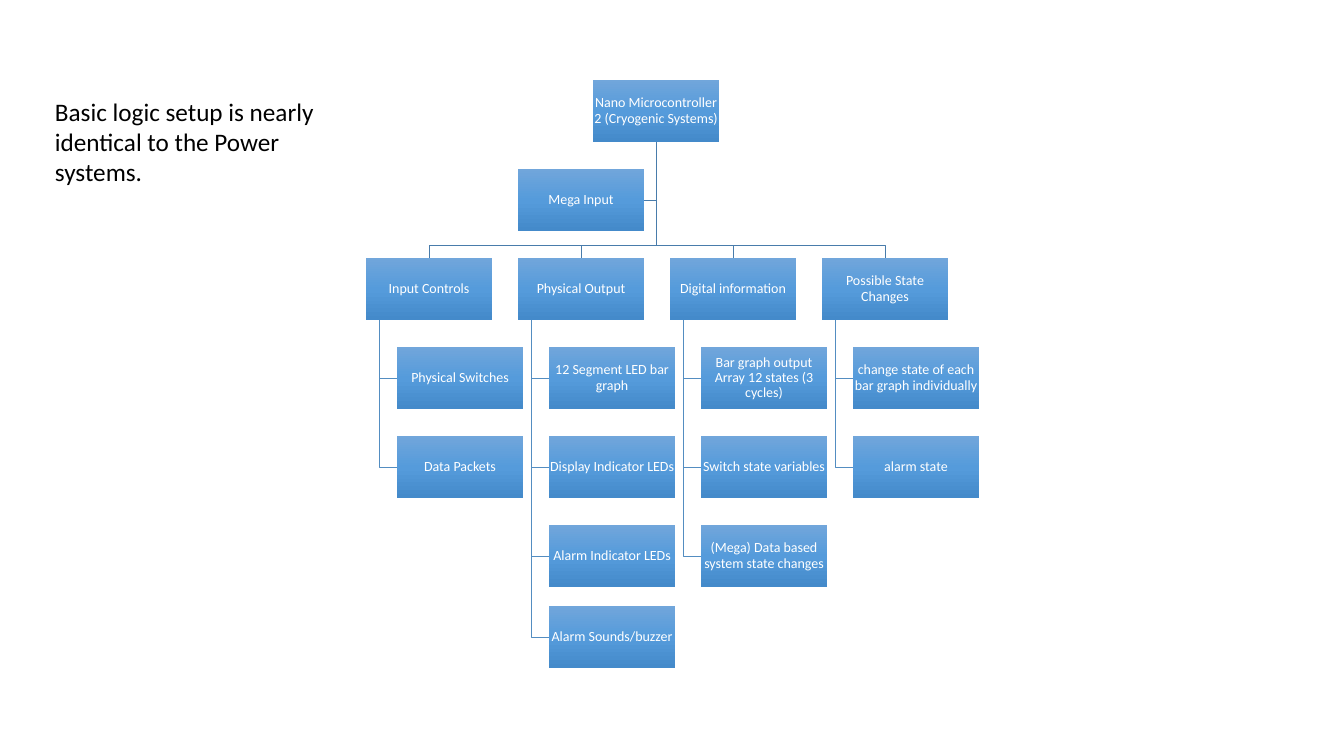
import copy
import pptx
import pptx.util
import pptx.dml.color
import pptx.enum.shapes
import pptx.enum.text
import pptx.oxml.ns

# Content
NOTE = "Basic logic setup is nearly identical to the Power systems."
ROOT = "Nano Microcontroller 2 (Cryogenic Systems)"
AIDE = "Mega Input"
GROUPS = [
    ("Input Controls", ["Physical Switches", "Data Packets"]),
    ("Physical Output", ["12 Segment LED bar graph", "Display Indicator LEDs",
                         "Alarm Indicator LEDs", "Alarm Sounds/buzzer"]),
    ("Digital information", ["Bar graph output Array 12 states (3 cycles)",
                             "Switch state variables",
                             "(Mega) Data based system state changes"]),
    ("Possible State Changes", ["change state of each bar graph individually",
                                "alarm state"]),
]
COLORS = {"top": "71A6DB", "mid": "559BDB", "low": "448ACA",
          "bus": "497CAB", "twig": "538DC1", "box": "FFFFFF", "note": "000000"}
FONT = "Calibri"

# Layout in px
EMU = 914400 / 100.8
BOX_W, BOX_H = 126, 62
LEFT, PITCH = 366, 152
ROOT_X, ROOT_Y = 593, 80
AIDE_Y, BUS_Y, HEAD_Y = 169, 245, 258
ROWS = [347, 436, 525, 606]
INDENT, TRUNK = 31, 13
MID_X = ROOT_X + BOX_W // 2


def px(n):
    return pptx.util.Emu(round(n * EMU))


def rgb(name):
    return pptx.dml.color.RGBColor.from_string(COLORS[name])


def style(frame, size, color):
    font = frame.paragraphs[0].runs[0].font
    font.name, font.size = FONT, pptx.util.Pt(size)
    font.color.rgb = rgb(color)


def add_line(points, color):
    path = slide.shapes.build_freeform(*points[0], scale=EMU)
    path.add_line_segments(points[1:], close=False)
    line = path.convert_to_shape()
    line.shadow.inherit = False
    line.fill.background()
    line.line.color.rgb = rgb(color)
    line.line.width = pptx.util.Pt(0.5)


def add_box(x, y, text):
    box = slide.shapes.add_shape(pptx.enum.shapes.MSO_SHAPE.RECTANGLE,
                                 px(x), px(y), px(BOX_W), px(BOX_H))
    box.shadow.inherit = False
    box.line.fill.background()
    # Three-stop gradient, running downward
    box.fill.gradient()
    box.fill.gradient_angle = 270
    stops = box._element.spPr.find(".//" + pptx.oxml.ns.qn("a:gsLst"))
    stops.insert(1, copy.deepcopy(stops[0]))
    for stop, name, spot in zip(box.fill.gradient_stops,
                                ("top", "mid", "low"), (0, 0.5, 1)):
        stop.color.rgb = rgb(name)
        stop.position = spot
    # Label
    frame = box.text_frame
    frame.word_wrap = True
    frame.vertical_anchor = pptx.enum.text.MSO_ANCHOR.MIDDLE
    frame.margin_left = frame.margin_right = pptx.util.Pt(0.5)
    frame.margin_top = frame.margin_bottom = pptx.util.Pt(0.5)
    frame.text = text
    frame.paragraphs[0].alignment = pptx.enum.text.PP_ALIGN.CENTER
    frame.paragraphs[0].line_spacing = 0.9
    style(frame, 10, "box")


deck = pptx.Presentation()
deck.slide_width, deck.slide_height = px(1344), px(756)
slide = deck.slides.add_slide(deck.slide_layouts[6])

# Lines, behind the boxes
aide_x = LEFT + PITCH
root_end = (MID_X, ROOT_Y + BOX_H)
aide_mid = AIDE_Y + BOX_H // 2
add_line([root_end, (MID_X, aide_mid), (aide_x + BOX_W, aide_mid)], "bus")
for col, (head, leaves) in enumerate(GROUPS):
    x = LEFT + col * PITCH
    mid = x + BOX_W // 2
    add_line([root_end, (MID_X, BUS_Y), (mid, BUS_Y), (mid, HEAD_Y)], "bus")
    for y, leaf in zip(ROWS, leaves):
        leaf_y = y + BOX_H // 2
        add_line([(x + TRUNK, HEAD_Y + BOX_H), (x + TRUNK, leaf_y),
                  (x + INDENT, leaf_y)], "twig")

# Boxes
add_box(ROOT_X, ROOT_Y, ROOT)
add_box(aide_x, AIDE_Y, AIDE)
for col, (head, leaves) in enumerate(GROUPS):
    x = LEFT + col * PITCH
    add_box(x, HEAD_Y, head)
    for y, leaf in zip(ROWS, leaves):
        add_box(x + INDENT, y, leaf)

# Side note
note = slide.shapes.add_textbox(px(45), px(91), px(293), px(102))
note.text_frame.word_wrap = True
note.text_frame.auto_size = pptx.enum.text.MSO_AUTO_SIZE.SHAPE_TO_FIT_TEXT
note.text_frame.text = NOTE
style(note.text_frame, 18, "note")

deck.save("out.pptx")
